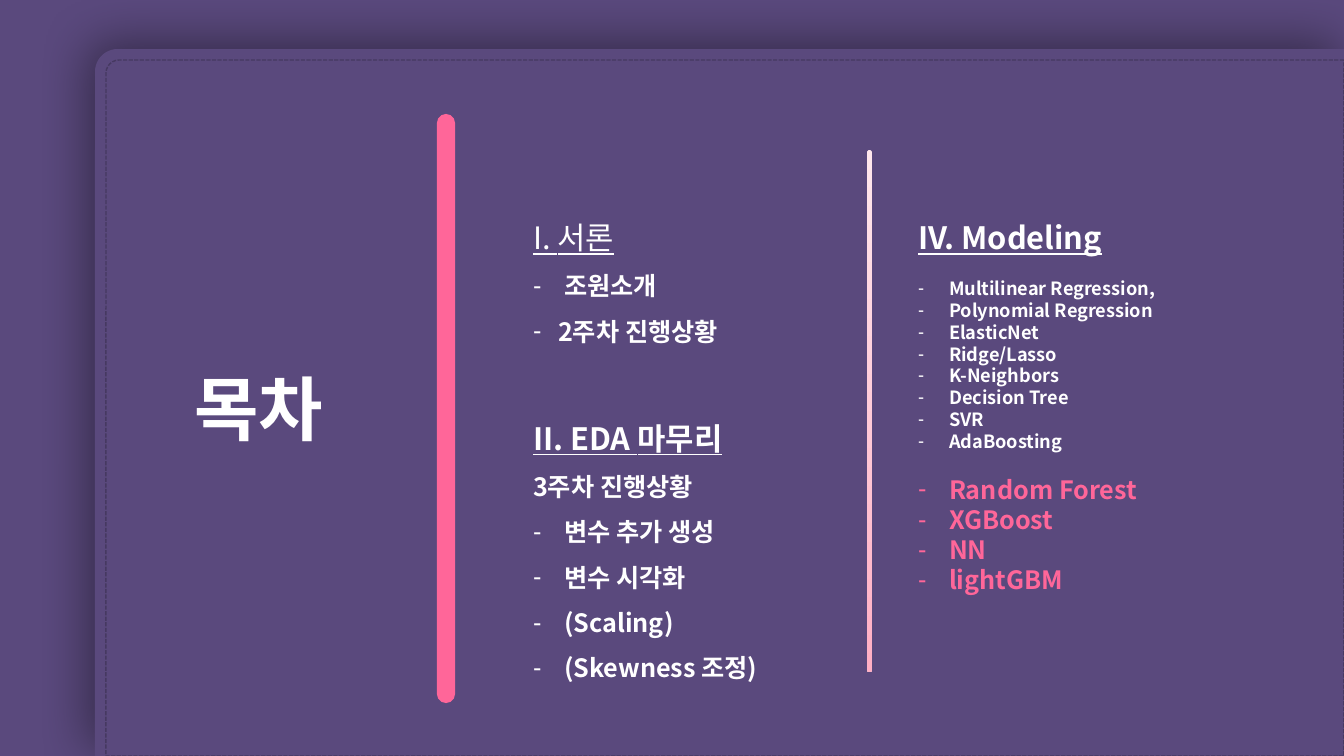
import dataclasses
import pptx
import pptx.util
import pptx.dml.color
import pptx.enum.dml
import pptx.enum.shapes
import pptx.enum.text
import pptx.oxml
import pptx.oxml.ns

PAGE_WIDTH, PAGE_HEIGHT = 1344, 756
SCALE = 12192000 / PAGE_WIDTH
SHAPES = pptx.enum.shapes.MSO_SHAPE


@dataclasses.dataclass(frozen=True)
class Theme:
    font: str = "Noto Sans CJK KR"
    base: str = "5A497D"
    stitch: str = "463961"
    text: str = "FFFFFF"
    accent: str = "FF6699"
    pale_top: str = "FFE7EC"
    pale_bottom: str = "FFAFC4"
    title: int = 50
    heading: int = 22
    item: int = 18
    small: int = 13


@dataclasses.dataclass(frozen=True)
class Entry:
    text: str
    size: int = Theme.item
    color: str = Theme.text
    bold: bool = True
    underline: bool = False
    indent: int = 0
    spacing: float = 1.5
    before: float = 0


THEME = Theme()

OUTLINE = [
    Entry("I. 서론", THEME.heading, bold=False, underline=True),
    Entry("조원소개", indent=31),
    Entry("2주차 진행상황", indent=25),
    Entry("II. EDA 마무리", THEME.heading, underline=True, before=39),
    Entry("3주차 진행상황"),
    *[Entry(text, indent=31) for text in
      ("변수 추가 생성", "변수 시각화", "(Scaling)", "(Skewness 조정)")],
]

BASIC_MODELS = ["Multilinear Regression,", "Polynomial Regression", "ElasticNet", "Ridge/Lasso",
                "K-Neighbors", "Decision Tree", "SVR", "AdaBoosting"]
CHOSEN_MODELS = ["Random Forest", "XGBoost", "NN", "lightGBM"]
MODELING = [
    Entry("IV. Modeling", THEME.heading, underline=True),
    *[Entry(text, THEME.small, indent=31, spacing=1, before=0 if index else 15.6)
      for index, text in enumerate(BASIC_MODELS)],
    *[Entry(text, color=THEME.accent, indent=31, spacing=1, before=0 if index else 15.6)
      for index, text in enumerate(CHOSEN_MODELS)],
]


def px(length):
    return pptx.util.Emu(round(length * SCALE))


def rgb(color):
    return pptx.dml.color.RGBColor.from_string(color)


def add_xml(parent, xml):
    namespace = pptx.oxml.ns.nsdecls("a")
    parent.append(pptx.oxml.parse_xml(xml.replace("@", namespace, 1)))


def add_panel(page, kind, box, rounding):
    panel = page.shapes.add_shape(kind, *map(px, box))
    panel.shadow.inherit = False
    panel.adjustments[0] = rounding
    panel.line.fill.background()
    return panel


def build_card(page, box):
    left, top, width, height = box
    margin = 11
    card = add_panel(page, SHAPES.ROUND_1_RECTANGLE, box, 0.032)
    card.fill.solid()
    card.fill.fore_color.rgb = rgb(THEME.base)
    effects = card._element.spPr.find(pptx.oxml.ns.qn("a:effectLst"))
    add_xml(effects, f'<a:outerShdw @ blurRad="{pptx.util.Pt(36)}" dist="{pptx.util.Pt(7)}" '
            'dir="13500000" algn="br" rotWithShape="0"><a:srgbClr val="000000">'
            '<a:alpha val="40000"/></a:srgbClr></a:outerShdw>')
    inner = (left + margin, top + margin, width - margin, height - margin)
    stitching = add_panel(page, SHAPES.ROUND_1_RECTANGLE, inner, 0.019)
    stitching.fill.background()
    stitching.line.color.rgb = rgb(THEME.stitch)
    stitching.line.width = pptx.util.Pt(1)
    stitching.line.dash_style = pptx.enum.dml.MSO_LINE.SQUARE_DOT
    for panel in (card, stitching):
        panel._element.spPr.xfrm.set("flipH", "1")


def build_dividers(page, accent_box, pale_box):
    accent = add_panel(page, SHAPES.ROUNDED_RECTANGLE, accent_box, 0.5)
    accent.fill.solid()
    accent.fill.fore_color.rgb = rgb(THEME.accent)
    accent.line.color.rgb = rgb(THEME.accent)
    accent.line.width = pptx.util.Pt(1.5)
    pale = add_panel(page, SHAPES.ROUNDED_RECTANGLE, pale_box, 0.5)
    pale.fill.gradient()
    pale.fill.gradient_angle = 270
    for stop, color in zip(pale.fill.gradient_stops, (THEME.pale_top, THEME.pale_bottom)):
        stop.color.rgb = rgb(color)


def write_entry(para, entry):
    para.text = entry.text
    properties = para._p.get_or_add_pPr()
    properties.set("marL", str(px(entry.indent)))
    properties.set("indent", str(-px(entry.indent)))
    add_xml(properties, '<a:buChar @ char="-"/>' if entry.indent else "<a:buNone @/>")
    para.line_spacing = entry.spacing
    para.space_before = pptx.util.Pt(entry.before)
    para.space_after = pptx.util.Pt(0)
    for span in para.runs:
        span.font.size = pptx.util.Pt(entry.size)
        span.font.bold = entry.bold
        span.font.underline = entry.underline
        span.font.color.rgb = rgb(entry.color)
        span.font.name = THEME.font
        add_xml(span.font._element, f'<a:ea @ typeface="{THEME.font}"/>')


def fill_placeholder(holder, box, entries, alignment):
    holder.left, holder.top, holder.width, holder.height = map(px, box)
    frame = holder.text_frame
    frame.word_wrap = True
    frame.auto_size = pptx.enum.text.MSO_AUTO_SIZE.NONE
    frame.vertical_anchor = pptx.enum.text.MSO_ANCHOR.TOP
    for index, entry in enumerate(entries):
        para = frame.add_paragraph() if index else frame.paragraphs[0]
        write_entry(para, entry)
        para.alignment = alignment


def build_contents_page(deck):
    page = deck.slides.add_slide(deck.slide_layouts.get_by_name("Two Content"))
    page.background.fill.solid()
    page.background.fill.fore_color.rgb = rgb(THEME.base)
    title, outline, modeling = page.placeholders
    build_card(page, (95, 49, PAGE_WIDTH - 95, PAGE_HEIGHT - 49))
    build_dividers(page, (438, 115, 16, 587), (867, 150, 5, 522))
    align = pptx.enum.text.PP_ALIGN
    fill_placeholder(title, (109, 318, 300, 137), [Entry("목차", THEME.title)], align.CENTER)
    fill_placeholder(outline, (523, 195, 340, 554), OUTLINE, align.LEFT)
    fill_placeholder(modeling, (908, 195, 407, 409), MODELING, align.LEFT)
    for holder in (title, outline, modeling):
        page.shapes._spTree.append(holder._element)


def main():
    deck = pptx.Presentation()
    deck.slide_width, deck.slide_height = px(PAGE_WIDTH), px(PAGE_HEIGHT)
    build_contents_page(deck)
    deck.save("out.pptx")


if __name__ == "__main__":
    main()
